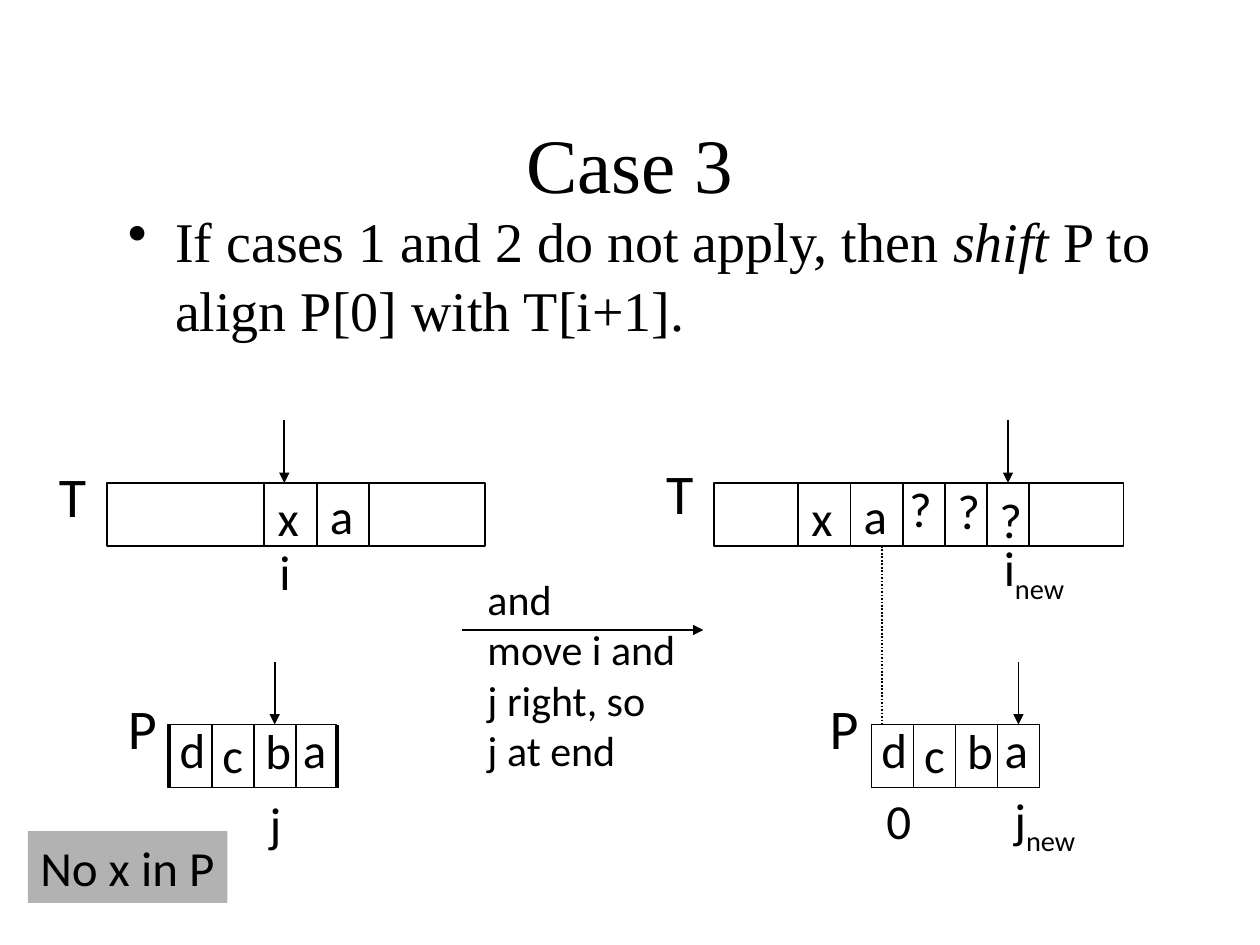
from lxml.etree import SubElement
from pptx import Presentation
from pptx.dml.color import RGBColor
from pptx.enum.dml import MSO_LINE
from pptx.enum.shapes import MSO_CONNECTOR, MSO_SHAPE
from pptx.enum.text import MSO_ANCHOR as Anchor, MSO_AUTO_SIZE as AutoSize, PP_ALIGN as Align
from pptx.oxml.ns import qn
from pptx.util import Pt

BLACK = RGBColor(0x00, 0x00, 0x00)
GRAY = RGBColor(0xB2, 0xB2, 0xB2)

TITLE_FONT = {"name": "Times New Roman", "size": Pt(44)}
BODY_FONT = {"name": "Times New Roman", "size": Pt(32)}
LETTER_FONT = {"name": "Calibri", "size": Pt(28)}
NAME_FONT = {"name": "Calibri", "size": Pt(32)}
CAPTION_FONT = {"name": "Calibri", "size": Pt(24)}
LABEL_FRAME = {"word_wrap": False, "vertical_anchor": Anchor.MIDDLE,
               "auto_size": AutoSize.SHAPE_TO_FIT_TEXT}

WIDTHS = {"x": 26.5, "a": 27.5, "?": 27.5, "b": 29, "c": 26, "d": 29,
          "i": 21, "j": 21, "0": 28, "T": 29.5, "P": 31}
ROW_HEIGHT = 36
LETTER_HEIGHT = 41
PATTERN_CELL = 24
# letter, offset from the first divider, offset from the row top
PATTERN_LETTERS = [("d", -1.5, -6.5), ("c", 23, -3.5), ("b", 47.5, -6), ("a", 69, -6.5)]


def apply_format(target, values):
    for name, value in values.items():
        setattr(target, name, value)


def add_run(paragraph, text, font, **extra):
    run = paragraph.add_run()
    run.text = text
    apply_format(run.font, {**font, **extra})
    run.font.color.rgb = BLACK
    return run


def add_text_box(slide, box, frame_format):
    frame = slide.shapes.add_textbox(*map(Pt, box)).text_frame
    apply_format(frame, frame_format)
    return frame


def add_label(slide, box, lines, font):
    frame = add_text_box(slide, box, LABEL_FRAME)
    for number, line in enumerate(lines):
        paragraph = frame.add_paragraph() if number else frame.paragraphs[0]
        add_run(paragraph, line, font)
    return frame


def add_letter(slide, left, top, letter):
    add_label(slide, (left, top, WIDTHS[letter], LETTER_HEIGHT), [letter], LETTER_FONT)


def add_line(slide, start, end, arrow=False, dotted=False):
    line = slide.shapes.add_connector(MSO_CONNECTOR.STRAIGHT, *map(Pt, start + end))
    line.line.color.rgb = BLACK
    line.line.width = Pt(1)
    if dotted:
        line.line.dash_style = MSO_LINE.ROUND_DOT
    if arrow:
        SubElement(line.line._get_or_add_ln(), qn("a:tailEnd"), type="triangle")
    SubElement(line._element.spPr, qn("a:effectLst"))


def add_rectangle(slide, box):
    shape = slide.shapes.add_shape(MSO_SHAPE.RECTANGLE, *map(Pt, box))
    shape.shadow.inherit = False
    return shape


def add_row(slide, box, dividers):
    """Outlined strip, split at the given offsets from its left edge."""
    left, top, width, height = box
    shape = add_rectangle(slide, box)
    shape.fill.background()
    shape.line.color.rgb = BLACK
    shape.line.width = Pt(1)
    for offset in dividers:
        add_line(slide, (left + offset, top), (left + offset, top + height))


def add_index(slide, x, row_top, label_top, name, subscript):
    """Arrow down to the row at x, with the index name below the row."""
    add_line(slide, (x, row_top - 36), (x, row_top), arrow=True)
    if not subscript:
        add_letter(slide, x - 10, label_top, name)
        return
    frame = add_label(slide, (x - 9.5, label_top - 2, 49, 45), [name], LETTER_FONT)
    run = add_run(frame.paragraphs[0], subscript, LETTER_FONT)
    run._r.get_or_add_rPr().set("baseline", "-25000")


def add_text_row(slide, box, dividers, letters, index_offset, name_rise, subscript=""):
    """Row T; each letter is given with its offsets from the row's corner."""
    left, top, _, height = box
    add_row(slide, box, dividers)
    for letter, dx, dy in letters:
        add_letter(slide, left + dx, top + dy, letter)
    add_label(slide, (left - 34.5, top - name_rise, WIDTHS["T"], 46), ["T"], NAME_FONT)
    add_index(slide, left + index_offset, top, top + height - 6, "i", subscript)


def add_pattern_row(slide, box, inset, index_cell, subscript=""):
    """Row P; its equal cells begin at the inset from the left edge."""
    left, top, _, height = box
    count = len(PATTERN_LETTERS)
    add_row(slide, box, [inset + PATTERN_CELL * number for number in range(count + 1)])
    start = left + inset
    for letter, dx, dy in PATTERN_LETTERS:
        add_letter(slide, start + dx, top + dy, letter)
    add_label(slide, (start - 31, top - 21.5, WIDTHS["P"], 46), ["P"], NAME_FONT)
    add_index(slide, start + PATTERN_CELL * (index_cell + 0.5), top, top + height,
              "j", subscript)


def add_title(slide, box):
    frame = add_text_box(slide, box, {"word_wrap": True, "vertical_anchor": Anchor.MIDDLE})
    paragraph = frame.paragraphs[0]
    paragraph.alignment = Align.CENTER
    add_run(paragraph, "Case 3", TITLE_FONT)


def add_body(slide, box):
    frame = add_text_box(slide, box, {"word_wrap": True})
    paragraph = frame.paragraphs[0]
    paragraph.line_spacing = Pt(39)
    properties = paragraph._p.get_or_add_pPr()
    properties.set("marL", str(Pt(27)))
    properties.set("indent", str(-Pt(27)))
    SubElement(properties, qn("a:buChar"), char="•")
    add_run(paragraph, "If cases 1 and 2 do not apply, then ", BODY_FONT)
    add_run(paragraph, "shift", BODY_FONT, italic=True)
    add_run(paragraph, " P to align P[0] with T[i+1].", BODY_FONT)


def add_before_state(slide, left, top):
    add_text_row(slide, (left, top, 216, ROW_HEIGHT), [90, 120, 150],
                 [("x", 90.5, -1), ("a", 120.5, -2)], 101.5, name_rise=16)
    add_pattern_row(slide, (left + 35, top + 138, 96, ROW_HEIGHT), inset=1, index_cell=2)


def add_after_state(slide, left, top):
    letters = [("x", 48.5, -1), ("a", 78.5, -2),
               ("?", 104.5, -6), ("?", 132, -5), ("?", 156, 0)]
    add_text_row(slide, (left, top, 234, ROW_HEIGHT), [48, 78, 108, 132, 156, 180],
                 letters, 168, name_rise=18, subscript="new")
    pattern_top = top + 138
    add_pattern_row(slide, (left + 90, pattern_top, 96, ROW_HEIGHT), inset=0,
                    index_cell=3, subscript="new")
    add_line(slide, (left + 96, top + ROW_HEIGHT), (left + 96, pattern_top), dotted=True)
    add_letter(slide, left + 91.5, pattern_top + 34, "0")


def add_transition(slide, left, top):
    add_line(slide, (left, top), (left + 138, top), arrow=True)
    lines = ["and", "move i and", "j right, so", "j at end"]
    add_label(slide, (left + 7.5, top - 36, 127.5, 122.5), lines, CAPTION_FONT)


def add_note(slide, box):
    shape = add_rectangle(slide, box)
    shape.fill.solid()
    shape.fill.fore_color.rgb = GRAY
    shape.line.fill.background()
    apply_format(shape.text_frame, LABEL_FRAME)
    paragraph = shape.text_frame.paragraphs[0]
    paragraph.alignment = Align.LEFT
    add_run(paragraph, "No x in P", LETTER_FONT)


def main():
    presentation = Presentation()
    presentation.slide_width, presentation.slide_height = Pt(720), Pt(540)
    slide = presentation.slides.add_slide(presentation.slide_layouts[6])
    add_title(slide, (54, 48, 612, 90))
    add_body(slide, (66, 114, 612, 96))
    add_before_state(slide, 61, 276)
    add_after_state(slide, 408, 276)
    add_transition(slide, 264, 360)
    add_note(slide, (16, 475, 114, 41))
    presentation.save("out.pptx")


if __name__ == "__main__":
    main()
